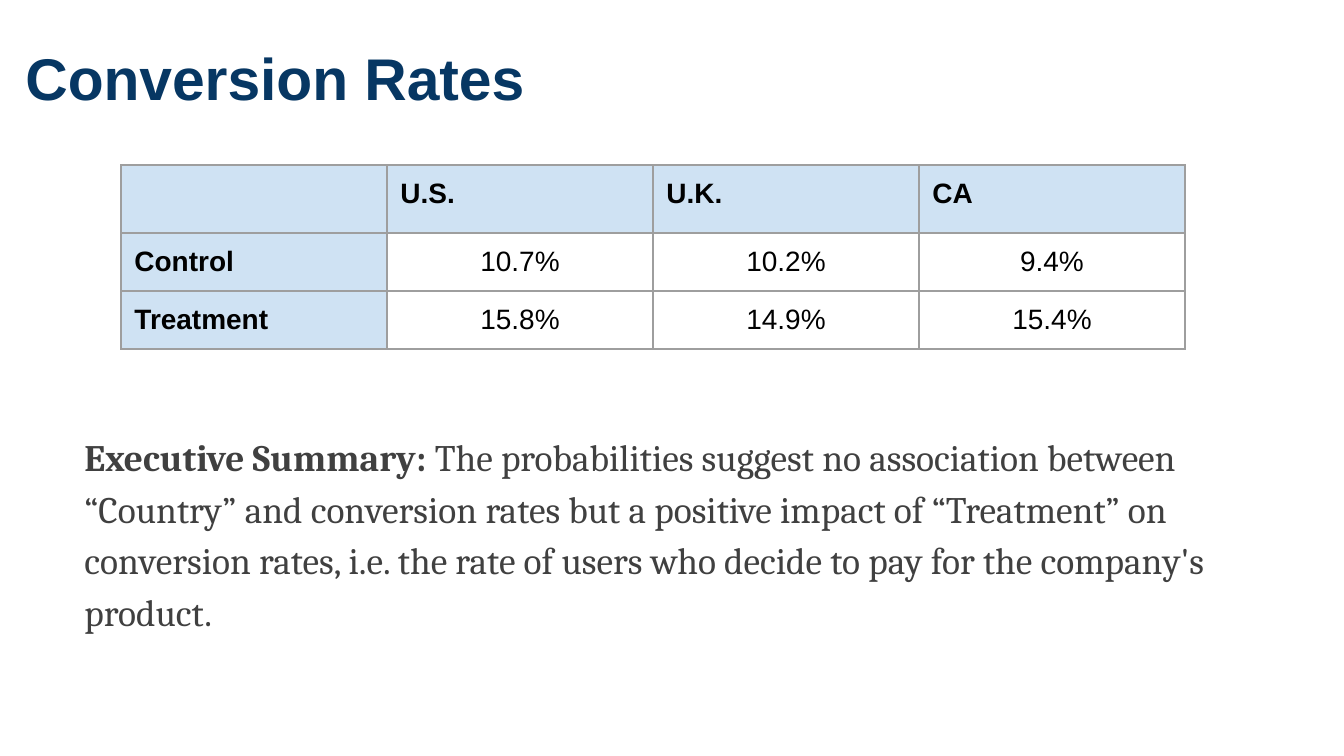
from lxml.etree import SubElement
from pptx import Presentation
from pptx.dml.color import RGBColor
from pptx.enum.text import MSO_ANCHOR as Anchor, MSO_AUTO_SIZE as Fit, PP_ALIGN as Align
from pptx.oxml.ns import qn
from pptx.util import Pt

# Content
TITLE = "Conversion Rates"
RATES = [
    ("", "U.S.", "U.K.", "CA"),
    ("Control", "10.7%", "10.2%", "9.4%"),
    ("Treatment", "15.8%", "14.9%", "15.4%"),
]
LEAD = "Executive Summary: "
SUMMARY = (
    "The probabilities suggest no association between “Country” and conversion "
    "rates but a positive impact of “Treatment” on conversion rates, i.e. the rate "
    "of users who decide to pay for the company's product."
)

# Colours
NAVY = RGBColor(0x07, 0x37, 0x63)
BLACK = RGBColor(0, 0, 0)
GREY = RGBColor(0x40, 0x40, 0x40)
WHITE = RGBColor(0xFF, 0xFF, 0xFF)
PALE = RGBColor(0xCF, 0xE2, 0xF3)
LINE = RGBColor(0x9E, 0x9E, 0x9E)

# Layout in px
SLIDE = (1344, 756)
TITLE_BOX = (12, 28, 1344, 98)
BODY_BOX = (71, 414, 1207, 228)
LEFT, TOP, COL, ROW = 121, 165, 266, 56
PAD = 13.44


def px(n):
    return round(n * 914400 / 134.4)


def style(run, size, font, color, bold):
    run.font.size = Pt(size)
    run.font.name = font
    run.font.color.rgb = color
    run.font.bold = bold


def pad(part):
    part.margin_left = part.margin_right = px(PAD)
    part.margin_top = part.margin_bottom = px(PAD)


def place(shape, box):
    shape.left, shape.top, shape.width, shape.height = map(px, box)
    frame = shape.text_frame
    pad(frame)
    frame.word_wrap = True
    frame.auto_size = Fit.NONE
    frame.vertical_anchor = Anchor.TOP
    return frame.paragraphs[0]


def border(cell):
    props = cell._tc.get_or_add_tcPr()
    for side in ("lnL", "lnR", "lnT", "lnB"):
        line = SubElement(props, qn(f"a:{side}"), w=str(Pt(0.75)))
        fill = SubElement(line, qn("a:solidFill"))
        SubElement(fill, qn("a:srgbClr"), val=str(LINE))


deck = Presentation()
deck.slide_width, deck.slide_height = map(px, SLIDE)
slide = deck.slides.add_slide(deck.slide_layouts[1])

# Title
para = place(slide.shapes.title, TITLE_BOX)
para.text = TITLE
para.alignment = Align.LEFT
style(para.runs[0], 31.5, "Arial", NAVY, True)

# Table of rates
rows, cols = len(RATES), len(RATES[0])
table = slide.shapes.add_table(
    rows, cols, px(LEFT), px(TOP), px(COL * cols), px(ROW * rows)
).table
table.first_row = table.horz_banding = False
for r, row in enumerate(RATES):
    for c, text in enumerate(row):
        cell = table.cell(r, c)
        head = r == 0 or c == 0
        border(cell)
        pad(cell)
        cell.fill.solid()
        cell.fill.fore_color.rgb = PALE if head else WHITE
        if text:
            para = cell.text_frame.paragraphs[0]
            para.text = text
            para.alignment = Align.LEFT if head else Align.CENTER
            style(para.runs[0], 15, "Arial", BLACK, head)

# Summary
para = place(slide.placeholders[1], BODY_BOX)
para.line_spacing = 1.15
para.space_before = Pt(0)
props = para._p.get_or_add_pPr()
props.set("marL", "0")
props.set("indent", "0")
SubElement(props, qn("a:buNone"))
for text, bold in ((LEAD, True), (SUMMARY, False)):
    run = para.add_run()
    run.text = text
    style(run, 20, "Cambria", GREY, bold)

deck.save("out.pptx")
